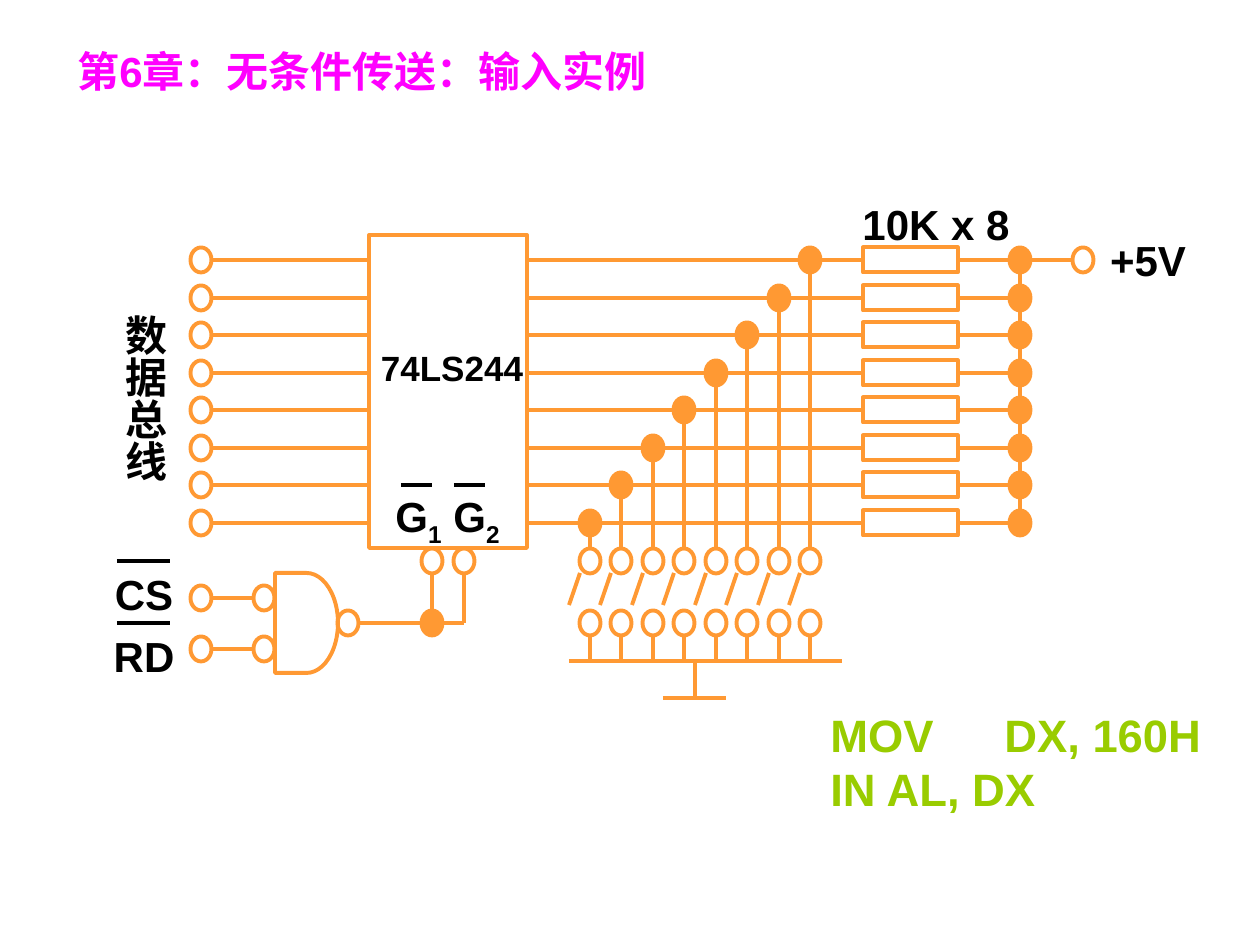
from lxml import etree
from pptx import Presentation
from pptx import util as u
from pptx.dml.color import RGBColor
from pptx.enum import shapes, text
from pptx.oxml.ns import qn

EMU_PER_PX = 914400 / 126
COLORS = {"wire": "FF9933", "ink": "000000", "title": "FF00FF", "code": "99CC00"}
ROWS = [260 + round(263 * i / 7) for i in range(8)]
COLUMNS = [810 - 63 * i // 2 for i in range(8)]
SHAPE = shapes.MSO_SHAPE


def px(length):
    return u.Emu(round(length * EMU_PER_PX))


def color(name):
    return RGBColor.from_string(COLORS[name])


def add_outline(slide, kind, left, top, width, height, filled=False):
    shape = slide.shapes.add_shape(kind, px(left), px(top), px(width), px(height))
    shape.shadow.inherit = False
    if filled:
        shape.fill.solid()
        shape.fill.fore_color.rgb = color("wire")
    else:
        shape.fill.background()
    shape.line.color.rgb = color("wire")
    shape.line.width = u.Pt(2.25)


def add_node(slide, x, y, filled=False):
    add_outline(slide, SHAPE.OVAL, x - 10.5, y - 12.5, 21, 25, filled)


def add_wire(slide, x1, y1, x2, y2, name="wire"):
    wire = slide.shapes.add_connector(
        shapes.MSO_CONNECTOR.STRAIGHT, px(x1), px(y1), px(x2), px(y2))
    wire.line.color.rgb = color(name)
    wire.line.width = u.Pt(2.25)
    etree.SubElement(wire._element.spPr, qn("a:effectLst"))


def style(paragraph, size, name):
    paragraph.font.size = u.Pt(size)
    paragraph.font.name = "Arial"
    paragraph.font.bold = True
    paragraph.font.color.rgb = color(name)


def add_text_frame(slide, left, top, width, height, wrap):
    box = slide.shapes.add_textbox(px(left), px(top), px(width), px(height))
    box.text_frame.word_wrap = wrap
    return box.text_frame


def add_label(slide, left, top, width, height, parts, size=24):
    frame = add_text_frame(slide, left, top, width, height, False)
    frame.auto_size = text.MSO_AUTO_SIZE.SHAPE_TO_FIT_TEXT
    frame.vertical_anchor = text.MSO_ANCHOR.MIDDLE
    paragraph = frame.paragraphs[0]
    paragraph.alignment = text.PP_ALIGN.CENTER
    for index, part in enumerate(parts):
        run = paragraph.add_run()
        run.text = part
        if index % 2:
            run._r.get_or_add_rPr().set("baseline", "-25000")
    style(paragraph, size, "ink")
    return frame


def add_title(slide):
    frame = add_text_frame(slide, 65, 36, 1134, 69, True)
    frame.vertical_anchor = text.MSO_ANCHOR.MIDDLE
    frame.text = "第6章：无条件传送：输入实例"
    style(frame.paragraphs[0], 24, "title")


def add_code(slide):
    frame = add_text_frame(slide, 818, 701, 398, 139, True)
    frame.text = "MOV \tDX, 160H\nIN AL, DX"
    for paragraph in frame.paragraphs:
        paragraph.alignment = text.PP_ALIGN.JUSTIFY
        properties = paragraph._p.get_or_add_pPr()
        properties.set("marL", str(px(48)))
        properties.set("indent", str(px(-48)))
        tabs = etree.SubElement(properties, qn("a:tabLst"))
        etree.SubElement(tabs, qn("a:tab"), pos=str(u.Inches(1)), algn="l")
        style(paragraph, 25.9, "code")


def add_buffer(slide):
    add_outline(slide, SHAPE.RECTANGLE, 369, 235, 158, 313)
    add_label(slide, 367, 340, 170, 55, ["74LS244"], 20)
    add_label(slide, 382, 484, 131, 71, ["G", "1", " G", "2"])
    for x in (401, 454):
        add_wire(slide, x, 485, x + 31, 485, "ink")


def add_data_rows(slide):
    for y in ROWS:
        add_node(slide, 201, y)
        add_wire(slide, 212, y, 369, y)
        add_wire(slide, 527, y, 863, y)
        add_outline(slide, SHAPE.RECTANGLE, 863, y - 12.5, 95, 25)
        add_wire(slide, 958, y, 1009, y)
        add_node(slide, 1020, y, True)
    frame = add_label(slide, 107, 302, 76, 181, ["数据总线"])
    frame._txBody.bodyPr.set("vert", "eaVert")
    frame.margin_left = frame.margin_right = u.Inches(0.05)
    frame.margin_top = frame.margin_bottom = u.Inches(0.1)


def add_supply(slide):
    add_wire(slide, 1020, ROWS[0], 1020, 536)
    add_wire(slide, 1030, ROWS[0], 1072, ROWS[0])
    add_node(slide, 1083, ROWS[0])
    add_label(slide, 1096, 228, 104, 63, ["+5V"])
    add_label(slide, 846, 192, 180, 63, ["10K x 8"])


def add_switches(slide):
    for x, y in zip(COLUMNS, ROWS):
        add_node(slide, x, y, True)
        add_wire(slide, x, y + 12, x, 548)
        add_node(slide, x, 561)
        add_wire(slide, x - 10, 573, x - 21, 605)
        add_node(slide, x, 623)
        add_wire(slide, x, 636, x, 661)
    add_wire(slide, 569, 661, 842, 661)
    add_wire(slide, 695, 661, 695, 698)
    add_wire(slide, 663, 698, 726, 698)


def add_gate(slide):
    add_outline(slide, SHAPE.FLOWCHART_DELAY, 275, 573, 63, 100)
    for y, overline, name in ((598, 561, "CS"), (649, 623, "RD")):
        add_node(slide, 201, y)
        add_wire(slide, 212, y, 253, y)
        add_node(slide, 264, y)
        add_wire(slide, 117, overline, 170, overline, "ink")
        add_label(slide, 98, overline + 1, 92, 63, [name])
    add_node(slide, 348, 623)
    add_wire(slide, 359, 623, 464, 623)
    for x in (432, 464):
        add_node(slide, x, 561)
        add_wire(slide, x, 573, x, 623)
    add_node(slide, 432, 623, True)


def main():
    presentation = Presentation()
    presentation.slide_width, presentation.slide_height = px(1260), px(945)
    slide = presentation.slides.add_slide(presentation.slide_layouts[6])
    add_title(slide)
    add_code(slide)
    add_buffer(slide)
    add_data_rows(slide)
    add_supply(slide)
    add_switches(slide)
    add_gate(slide)
    presentation.save("out.pptx")


if __name__ == "__main__":
    main()
